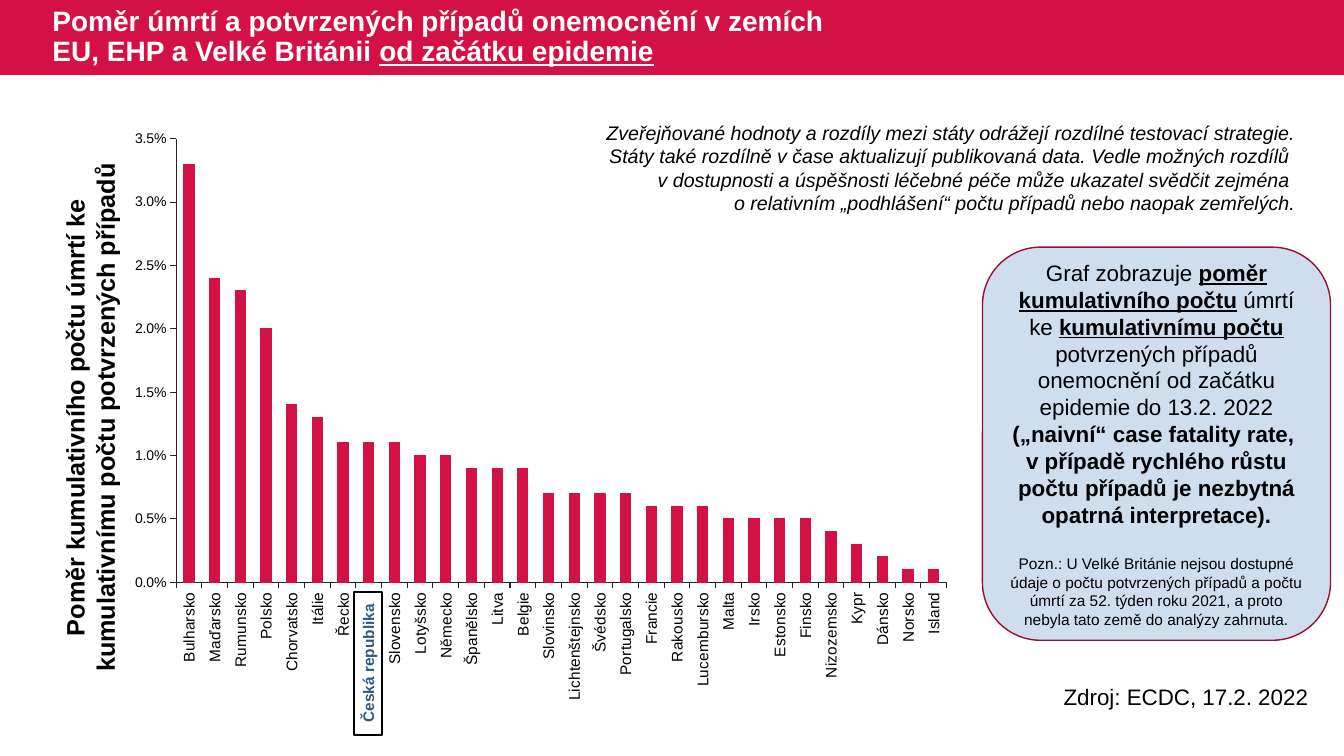
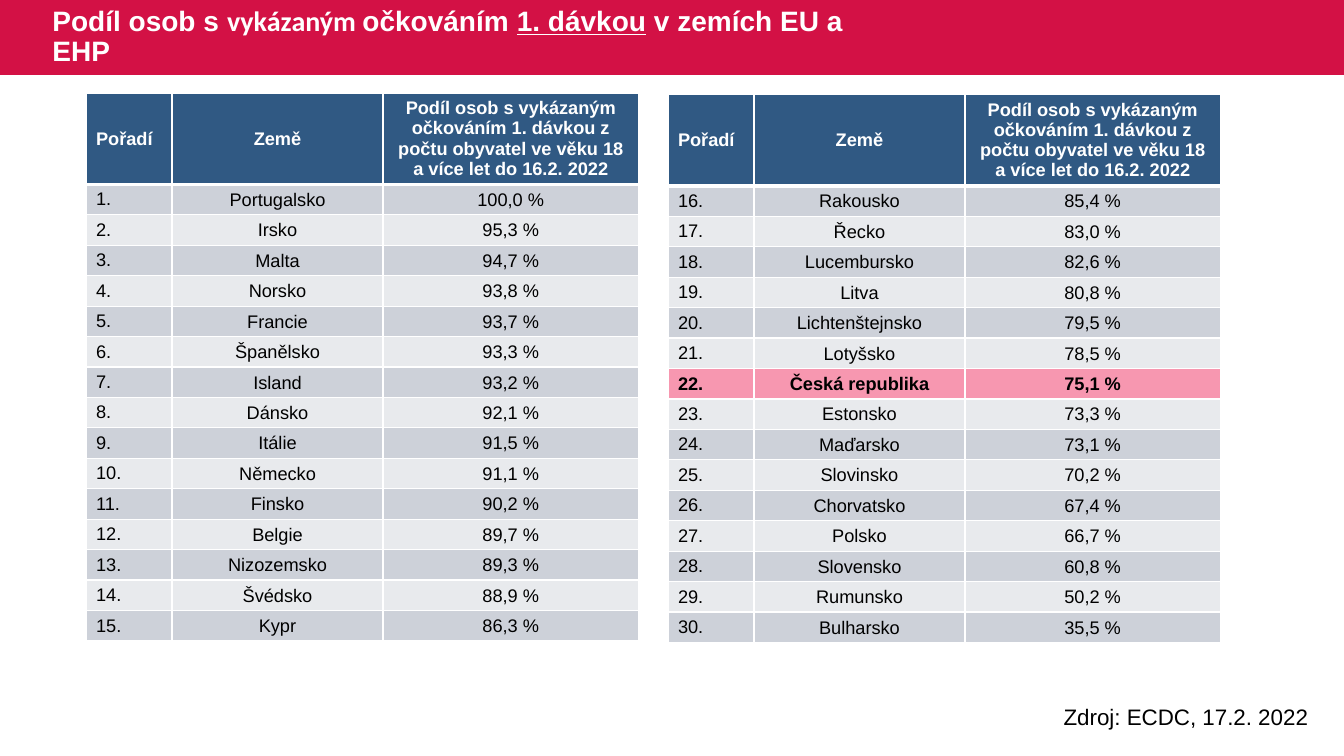
from dataclasses import dataclass
from typing import NamedTuple

from lxml.etree import SubElement
from pptx import Presentation
from pptx.chart.data import CategoryChartData
from pptx.dml.color import RGBColor
from pptx.enum.chart import XL_CHART_TYPE, XL_TICK_MARK
from pptx.enum.shapes import MSO_SHAPE
from pptx.enum.text import MSO_ANCHOR, MSO_AUTO_SIZE, PP_ALIGN
from pptx.oxml import parse_xml
from pptx.oxml.ns import nsdecls, qn
from pptx.util import Inches, Pt

SLIDE_WIDTH, SLIDE_HEIGHT = Inches(13.333), Inches(7.5)
LEFT, CENTER, RIGHT = PP_ALIGN.LEFT, PP_ALIGN.CENTER, PP_ALIGN.RIGHT


@dataclass(frozen=True)
class Theme:
    font: str = "Arial"
    accent_font: str = "Calibri"
    red: str = "D31145"
    dark_red: str = "9C0D33"
    blue: str = "305983"
    pale_blue: str = "CFDEED"
    band_dark: str = "CDD1D9"
    band_light: str = "E8EAED"
    highlight: str = "F797B0"
    axis: str = "262626"
    black: str = "000000"
    white: str = "FFFFFF"
    title: int = 20
    axis_title: int = 18
    body: int = 16
    note: int = 14
    table: int = 13
    small: int = 11
    tick: int = 10


THEME = Theme()


class Box(NamedTuple):
    """Position and size in percent of the slide."""
    left: float
    top: float
    width: float
    height: float

    def lengths(self) -> tuple[int, int, int, int]:
        return (across(self.left), down(self.top),
                across(self.width), down(self.height))


class Span(NamedTuple):
    text: str
    bold: bool = False
    underline: bool = False
    font: str = THEME.font


class Ranking(NamedTuple):
    left: float
    top: float
    first_rank: int
    rows: tuple[tuple[str, str], ...]


BAND = Box(0, 0, 100, 9.9)
TITLE = Box(3.15, 0, 61.2, 9.9)
RANKING_COLUMNS = (6.4, 15.7, 19)
HEADER_ROW, BODY_ROW = 9.6, 3.3
RANKING_HEADER = ("Pořadí", "Země", "Podíl osob s vykázaným očkováním 1. dávkou z počtu "
                  "obyvatel ve věku 18 a více let do 16.2. 2022")
HOME = "Česká republika"

FATALITY = {
    "Bulharsko": 0.033, "Maďarsko": 0.024, "Rumunsko": 0.023, "Polsko": 0.02,
    "Chorvatsko": 0.014, "Itálie": 0.013, "Řecko": 0.011, HOME: 0.011,
    "Slovensko": 0.011, "Lotyšsko": 0.01, "Německo": 0.01, "Španělsko": 0.009,
    "Litva": 0.009, "Belgie": 0.009, "Slovinsko": 0.007, "Lichtenštejnsko": 0.007,
    "Švédsko": 0.007, "Portugalsko": 0.007, "Francie": 0.006, "Rakousko": 0.006,
    "Lucembursko": 0.006, "Malta": 0.005, "Irsko": 0.005, "Estonsko": 0.005,
    "Finsko": 0.005, "Nizozemsko": 0.004, "Kypr": 0.003, "Dánsko": 0.002,
    "Norsko": 0.001, "Island": 0.001,
}

RANKINGS = (
    Ranking(6.4, 12.3, 1, (
        ("Portugalsko", "100,0 %"), ("Irsko", "95,3 %"), ("Malta", "94,7 %"),
        ("Norsko", "93,8 %"), ("Francie", "93,7 %"), ("Španělsko", "93,3 %"),
        ("Island", "93,2 %"), ("Dánsko", "92,1 %"), ("Itálie", "91,5 %"),
        ("Německo", "91,1 %"), ("Finsko", "90,2 %"), ("Belgie", "89,7 %"),
        ("Nizozemsko", "89,3 %"), ("Švédsko", "88,9 %"), ("Kypr", "86,3 %"))),
    Ranking(49.7, 12.5, 16, (
        ("Rakousko", "85,4 %"), ("Řecko", "83,0 %"), ("Lucembursko", "82,6 %"),
        ("Litva", "80,8 %"), ("Lichtenštejnsko", "79,5 %"), ("Lotyšsko", "78,5 %"),
        (HOME, "75,1 %"), ("Estonsko", "73,3 %"), ("Maďarsko", "73,1 %"),
        ("Slovinsko", "70,2 %"), ("Chorvatsko", "67,4 %"), ("Polsko", "66,7 %"),
        ("Slovensko", "60,8 %"), ("Rumunsko", "50,2 %"), ("Bulharsko", "35,5 %"))),
)


def across(percent: float) -> int:
    return round(SLIDE_WIDTH * percent / 100)


def down(percent: float) -> int:
    return round(SLIDE_HEIGHT * percent / 100)


def color(value: str) -> RGBColor:
    return RGBColor.from_string(value)


def write(paragraph, *spans: Span | str, size: int, fill: str = THEME.black,
          align=LEFT, bold: bool = False, italic: bool = False,
          line_spacing: float | None = None, space_before: int = 0) -> None:
    """Fill a paragraph with spans; a newline in a span is a line break."""
    paragraph.alignment = align
    paragraph.space_before = Pt(space_before)
    if line_spacing:
        paragraph.line_spacing = line_spacing
    for span in spans:
        if isinstance(span, str):
            span = Span(span, bold)
        for index, line in enumerate(span.text.split("\n")):
            if index:
                paragraph.add_line_break()
            if not line:
                continue
            run = paragraph.add_run()
            run.text = line
            run.font.name, run.font.size = span.font, Pt(size)
            run.font.color.rgb = color(fill)
            run.font.bold, run.font.italic = span.bold, italic
            run.font.underline = span.underline


def add_text(slide, box: Box, *paragraphs: str, rotation: int = 0, **text_format) -> None:
    shape = slide.shapes.add_textbox(*box.lengths())
    shape.rotation = rotation
    frame = shape.text_frame
    frame.word_wrap = True
    frame.auto_size = MSO_AUTO_SIZE.SHAPE_TO_FIT_TEXT
    for index, text in enumerate(paragraphs):
        paragraph = frame.add_paragraph() if index else frame.paragraphs[0]
        write(paragraph, text, **text_format)


def add_panel(slide, kind, box: Box, fill: str, line: str | None = None):
    shape = slide.shapes.add_shape(kind, *box.lengths())
    shape.shadow.inherit = False
    shape.fill.solid()
    shape.fill.fore_color.rgb = color(fill)
    if line:
        shape.line.color.rgb = color(line)
        shape.line.width = Pt(1)
    else:
        shape.line.fill.background()
    shape.text_frame.word_wrap = True
    shape.text_frame.vertical_anchor = MSO_ANCHOR.MIDDLE
    return shape


def prepare_layout(layout, slide) -> None:
    """Give the layout the red band and the title position."""
    band = add_panel(slide, MSO_SHAPE.RECTANGLE, BAND, THEME.red)
    layout.shapes._spTree.insert(2, band._element)
    title = layout.placeholders[0]
    title.left, title.top, title.width, title.height = TITLE.lengths()


def set_title(slide, *spans: Span) -> None:
    frame = slide.shapes.title.text_frame
    frame.word_wrap = True
    frame.auto_size = MSO_AUTO_SIZE.NONE
    frame.vertical_anchor = MSO_ANCHOR.MIDDLE
    write(frame.paragraphs[0], *spans, size=THEME.title, fill=THEME.white, line_spacing=0.9)


def add_source(slide, top: float) -> None:
    add_text(slide, Box(78.4, top, 23.5, 4.9), "Zdroj: ECDC, 17.2. 2022", size=THEME.body)


def style_axis(axis, size: int) -> None:
    axis.has_major_gridlines = False
    axis.major_tick_mark = XL_TICK_MARK.OUTSIDE
    axis.minor_tick_mark = XL_TICK_MARK.NONE
    axis.format.line.color.rgb = color(THEME.axis)
    axis.format.line.width = Pt(0.75)
    font = axis.tick_labels.font
    font.name, font.size = THEME.font, Pt(size)
    font.color.rgb = color(THEME.black)


def set_plot_area(chart, **shares: float) -> None:
    settings = {"layoutTarget": "inner", "xMode": "edge", "yMode": "edge", **shares}
    items = "".join(f'<c:{name} val="{value}"/>' for name, value in settings.items())
    plot_area = chart._chartSpace.chart.plotArea
    for layout in plot_area.findall(qn("c:layout")):
        plot_area.remove(layout)
    plot_area.insert(0, parse_xml(
        f'<c:layout {nsdecls("c")}><c:manualLayout>{items}</c:manualLayout></c:layout>'))


def add_fatality_chart(slide, box: Box) -> None:
    data = CategoryChartData(number_format="0.0%")
    data.categories = list(FATALITY)
    data.add_series("Series 1", list(FATALITY.values()))
    chart = slide.shapes.add_chart(XL_CHART_TYPE.COLUMN_CLUSTERED, *box.lengths(), data).chart
    chart.has_legend = chart.has_title = False
    chart.font.name, chart.font.size = THEME.font, Pt(THEME.tick)
    style_axis(chart.category_axis, THEME.small)
    style_axis(chart.value_axis, THEME.tick)
    label_body = chart.category_axis._element.find(qn("c:txPr")).find(qn("a:bodyPr"))
    label_body.set("rot", "-5400000")
    label_body.set("vert", "horz")
    value_axis = chart.value_axis
    value_axis.minimum_scale, value_axis.maximum_scale = 0, 0.035
    value_axis.major_unit = 0.005
    value_axis.tick_labels.number_format = "0.0%"
    value_axis.tick_labels.number_format_is_linked = False
    plot = chart.plots[0]
    plot.gap_width, plot.vary_by_categories = 150, False
    series_format = plot.series[0].format
    series_format.fill.solid()
    series_format.fill.fore_color.rgb = color(THEME.red)
    series_format.line.color.rgb = color(THEME.red)
    series_format.line.width = Pt(0.75)
    set_plot_area(chart, x=0.07, y=0.05, w=0.91, h=0.74)


def set_cell(cell, text: str, fill: str, align, header: bool, bold: bool) -> None:
    properties = cell._tc.get_or_add_tcPr()
    for side in "LRTB":
        width = 3 if header and side == "B" else 1
        line = SubElement(properties, qn(f"a:ln{side}"), w=str(Pt(width)))
        SubElement(SubElement(line, qn("a:solidFill")), qn("a:srgbClr"), val=THEME.white)
    cell.fill.solid()
    cell.fill.fore_color.rgb = color(fill)
    cell.vertical_anchor = MSO_ANCHOR.MIDDLE
    if align == CENTER and not header:
        cell.margin_left = cell.margin_right = cell.margin_top = Inches(0.01)
        cell.margin_bottom = 0
    write(cell.text_frame.paragraphs[0], text, size=THEME.table, align=align, bold=bold,
          fill=THEME.white if header else THEME.black)


def add_ranking(slide, ranking: Ranking) -> None:
    rows = [RANKING_HEADER] + [(f"{rank}.", *row) for rank, row in
                               enumerate(ranking.rows, ranking.first_rank)]
    box = Box(ranking.left, ranking.top, sum(RANKING_COLUMNS),
              HEADER_ROW + BODY_ROW * len(ranking.rows))
    table = slide.shapes.add_table(len(rows), len(RANKING_COLUMNS), *box.lengths()).table
    for column, width in zip(table.columns, RANKING_COLUMNS):
        column.width = across(width)
    for row_index, row in enumerate(rows):
        header, home = row_index == 0, row[1] == HOME
        table.rows[row_index].height = down(HEADER_ROW if header else BODY_ROW)
        band = THEME.band_dark if row_index % 2 else THEME.band_light
        fill = THEME.blue if header else THEME.highlight if home else band
        for column_index, text in enumerate(row):
            set_cell(table.cell(row_index, column_index), text, fill,
                     CENTER if column_index else LEFT, header, header or home)


def add_explanation(slide) -> None:
    frame = add_panel(slide, MSO_SHAPE.ROUNDED_RECTANGLE, Box(73.1, 32.7, 25.9, 52),
                      THEME.pale_blue, THEME.dark_red).text_frame
    write(frame.paragraphs[0], "Graf zobrazuje ",
          Span("poměr kumulativního počtu", True, True), " úmrtí ke ",
          Span("kumulativnímu počtu", True, True),
          " potvrzených případů onemocnění od začátku epidemie do 13.2. 2022\n",
          Span("(„naivní“ case fatality rate, \nv případě rychlého růstu počtu případů "
               "je nezbytná opatrná interpretace).", True),
          size=THEME.body, align=CENTER)
    write(frame.add_paragraph(),
          "Pozn.: U Velké Británie nejsou dostupné údaje o počtu potvrzených případů a počtu "
          "úmrtí za 52. týden roku 2021, a proto nebyla tato země do analýzy zahrnuta.",
          size=THEME.small, align=CENTER, space_before=19)


def build_fatality_slide(slide) -> None:
    set_title(slide, Span("Poměr úmrtí a potvrzených případů onemocnění v zemích EU, EHP a "
                          "Velké Británii ", True), Span("od začátku epidemie", True, True))
    add_source(slide, 89.7)
    add_text(slide, Box(-13.6, 50.5, 40.65, 9.5),
             "Poměr kumulativního počtu úmrtí ke kumulativnímu počtu potvrzených případů",
             rotation=270, size=THEME.axis_title, bold=True, align=CENTER)
    add_fatality_chart(slide, Box(8.7, 14.4, 63, 79.3))
    add_explanation(slide)
    label = add_panel(slide, MSO_SHAPE.RECTANGLE, Box(22.05, 85.9, 10.65, 3.7),
                      THEME.white, THEME.black)
    label.rotation = 270
    write(label.text_frame.paragraphs[0], HOME, size=THEME.small, fill=THEME.blue,
          bold=True, align=CENTER)
    add_text(slide, Box(43.65, 15.3, 53.5, 13.9),
             "Zveřejňované hodnoty a rozdíly mezi státy odrážejí rozdílné testovací strategie. "
             "Státy také rozdílně v čase aktualizují publikovaná data. Vedle možných rozdílů \n"
             "v dostupnosti a úspěšnosti léčebné péče může ukazatel svědčit zejména ",
             "o relativním „podhlášení“ počtu případů nebo naopak zemřelých.",
             size=THEME.note, italic=True, align=RIGHT)


def build_vaccination_slide(slide) -> None:
    set_title(slide, Span("Podíl osob s ", True),
              Span("vykázaným ", True, font=THEME.accent_font), Span("očkováním ", True),
              Span("1. dávkou", True, True), Span(" v zemích EU a EHP", True))
    for ranking in RANKINGS:
        add_ranking(slide, ranking)
    add_source(slide, 92.4)


def main() -> None:
    presentation = Presentation()
    presentation.slide_width, presentation.slide_height = SLIDE_WIDTH, SLIDE_HEIGHT
    layout = presentation.slide_layouts.get_by_name("Title Only")
    slides = [presentation.slides.add_slide(layout) for _ in range(2)]
    prepare_layout(layout, slides[0])
    build_fatality_slide(slides[0])
    build_vaccination_slide(slides[1])
    presentation.save("out.pptx")


if __name__ == "__main__":
    main()
